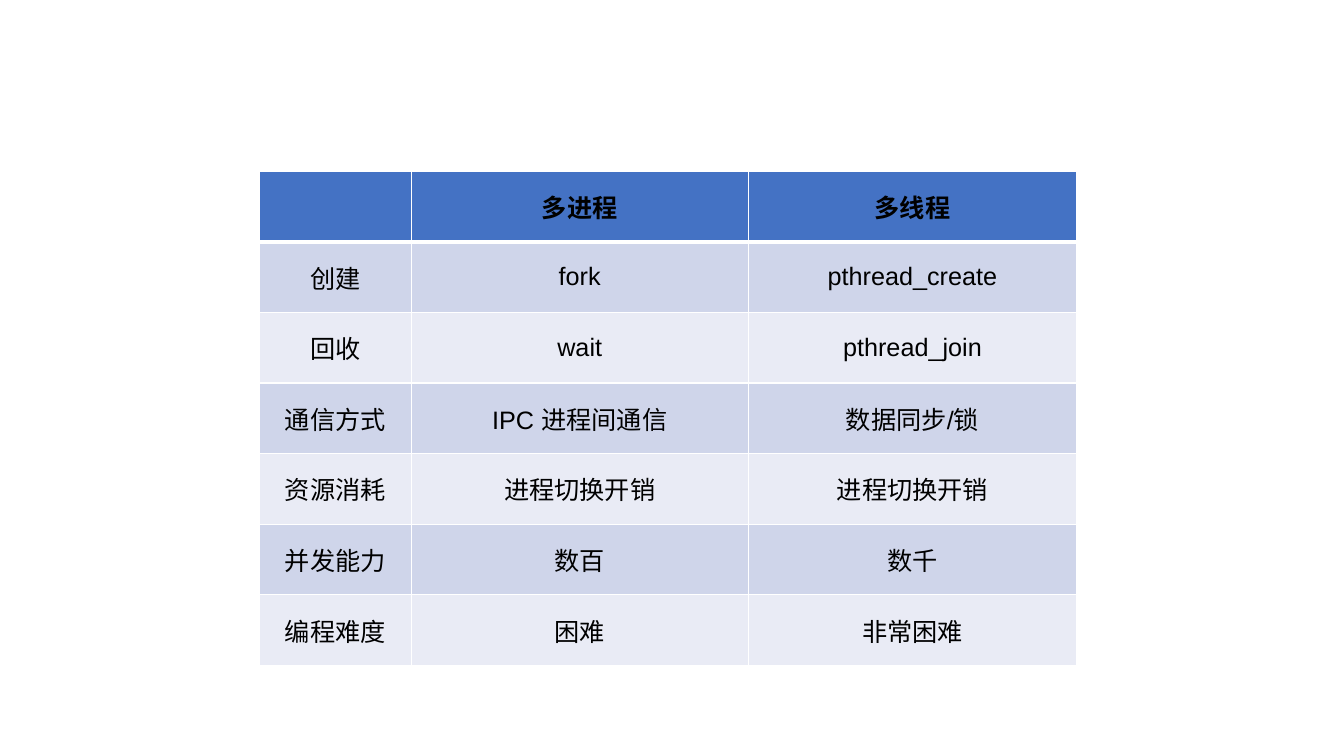
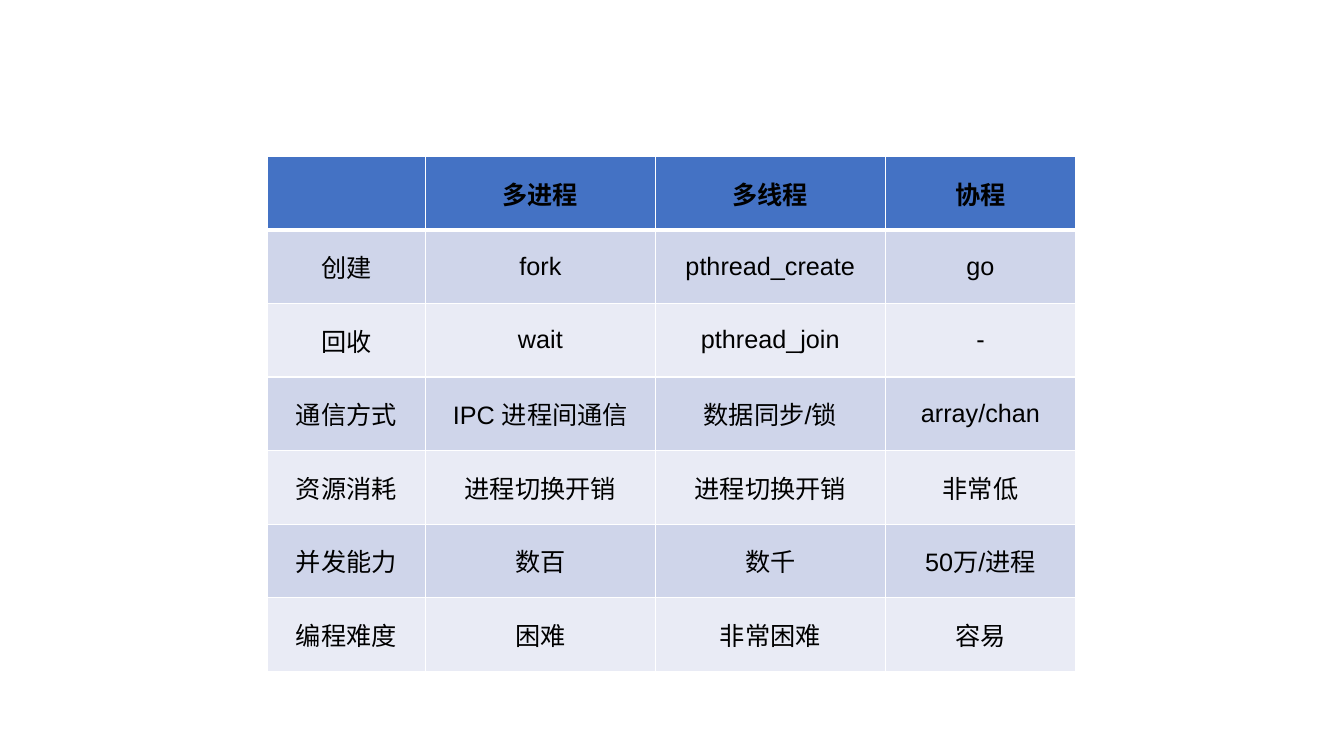
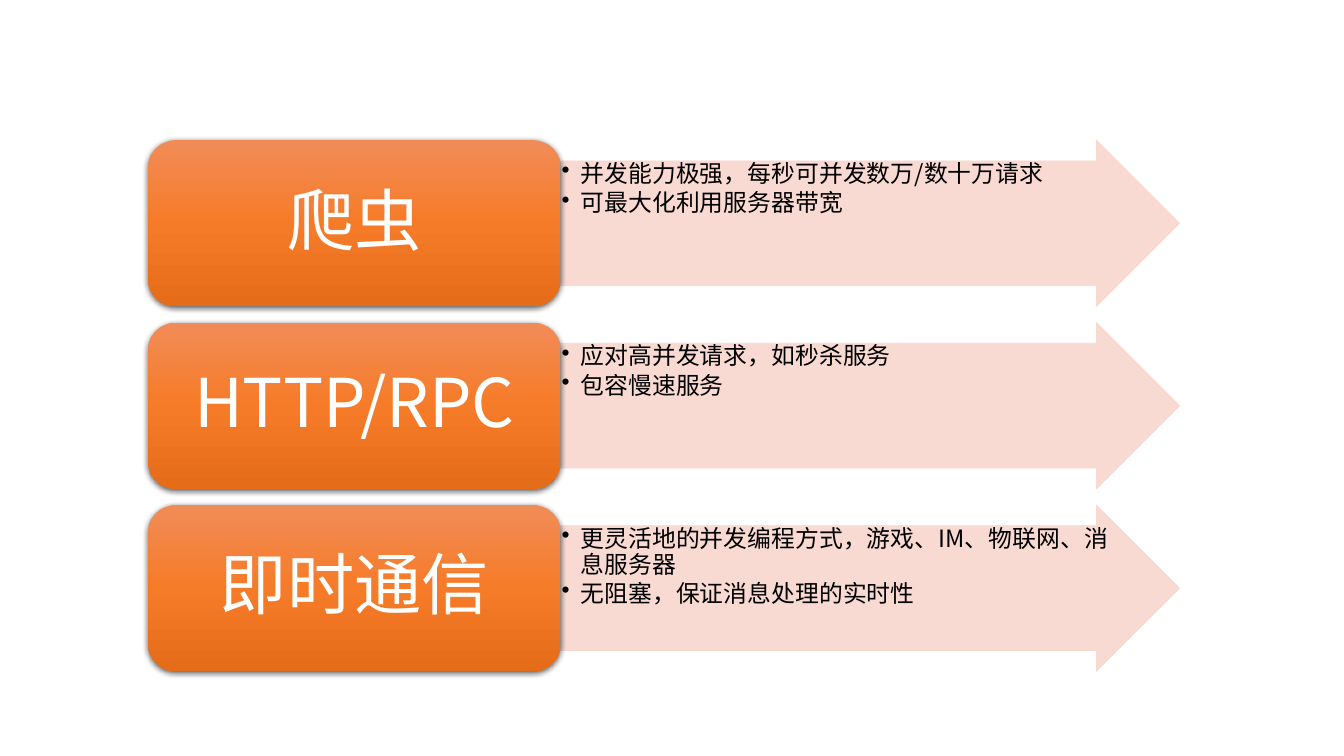
"""Build three slides comparing concurrency models and listing uses of coroutines."""
from dataclasses import dataclass

import pptx
import pptx.dml.color
import pptx.enum.shapes
import pptx.enum.text
import pptx.oxml
import pptx.oxml.ns
import pptx.util
from lxml import etree

Inches = pptx.util.Inches
Pt = pptx.util.Pt
qn = pptx.oxml.ns.qn


@dataclass(frozen=True)
class Theme:
    """Colours, fonts and type sizes shared by the slides."""
    ink: str = "000000"
    paper: str = "FFFFFF"
    header: str = "4472C4"
    bands: tuple = ("CFD5EA", "E9EBF5")
    arrow: str = "F8D7CE"
    label_stops: tuple = ((0, "F18C57"), (50, "F67B28"), (100, "E56C19"))
    table_font: str = "Arial"
    cjk_font: str = "Noto Sans CJK SC"
    table_size: int = 18
    label_size: int = 48
    detail_size: int = 17


THEME = Theme()

COMPARISON = [
    ("", "多进程", "多线程", "协程"),
    ("创建", "fork", "pthread_create", "go"),
    ("回收", "wait", "pthread_join", "-"),
    ("通信方式", "IPC 进程间通信", "数据同步/锁", "array/chan"),
    ("资源消耗", "进程切换开销", "进程切换开销", "非常低"),
    ("并发能力", "数百", "数千", "50万/进程"),
    ("编程难度", "困难", "非常困难", "容易"),
]

USES = [
    ("爬虫", ["并发能力极强，每秒可并发数万/数十万请求", "可最大化利用服务器带宽"]),
    ("HTTP/RPC", ["应对高并发请求，如秒杀服务", "包容慢速服务"]),
    ("即时通信", ["更灵活地的并发编程方式，游戏、IM、物联网、消息服务器",
              "无阻塞，保证消息处理的实时性"]),
]


def rgb(value):
    """Return a colour object for a hex value."""
    return pptx.dml.color.RGBColor.from_string(value)


def add_xml(parent, markup):
    """Append DrawingML markup to an element."""
    parent.append(pptx.oxml.parse_xml(
        markup.replace(">", f" {pptx.oxml.ns.nsdecls('a')}>", 1)))


def style_paragraph(paragraph, size, font, color, align, bold=False):
    """Set the type and alignment of a paragraph."""
    paragraph.alignment = align
    paragraph.font.size = Pt(size)
    paragraph.font.bold = bold
    paragraph.font.name = font
    paragraph.font.color.rgb = rgb(color)
    properties = paragraph._p.pPr.find(qn("a:defRPr"))
    etree.SubElement(properties, qn("a:ea"), typeface=THEME.cjk_font)


def border_cell(cell, bottom):
    """Draw white borders around a cell."""
    for side, width in (("L", 1), ("R", 1), ("T", 1), ("B", bottom)):
        add_xml(cell._tc.get_or_add_tcPr(),
                f'<a:ln{side} w="{Pt(width)}"><a:solidFill>'
                f'<a:srgbClr val="{THEME.paper}"/></a:solidFill></a:ln{side}>')


def add_comparison(slide, left, top, widths, row_height):
    """Add the comparison table with one column for each width."""
    table = slide.shapes.add_table(
        len(COMPARISON), len(widths), Inches(left), Inches(top),
        Inches(sum(widths)), Inches(row_height * len(COMPARISON))).table
    for column, width in zip(table.columns, widths):
        column.width = Inches(width)
    for row_index, entries in enumerate(COMPARISON):
        is_header = row_index == 0
        table.rows[row_index].height = Inches(row_height)
        for cell, entry in zip(table.rows[row_index].cells, entries):
            border_cell(cell, 3 if is_header else 1)
            cell.fill.solid()
            cell.fill.fore_color.rgb = rgb(
                THEME.header if is_header else THEME.bands[(row_index - 1) % 2])
            cell.vertical_anchor = pptx.enum.text.MSO_ANCHOR.MIDDLE
            cell.text = entry
            style_paragraph(cell.text_frame.paragraphs[0], THEME.table_size,
                            THEME.table_font, THEME.ink,
                            pptx.enum.text.PP_ALIGN.CENTER, is_header)


def add_block(slide, preset, left, top, width, height, margins, anchor):
    """Add a preset shape without shadow and set its text area."""
    block = slide.shapes.add_shape(
        preset, Inches(left), Inches(top), Inches(width), Inches(height))
    block.shadow.inherit = False
    frame = block.text_frame
    frame.word_wrap = True
    frame.vertical_anchor = anchor
    frame.margin_left = frame.margin_right = Inches(margins[0])
    frame.margin_top = frame.margin_bottom = Inches(margins[1])
    return block


def add_details(slide, left, top, width, height, details):
    """Add a pale arrow holding a bulleted list."""
    arrow = add_block(slide, pptx.enum.shapes.MSO_SHAPE.RIGHT_ARROW, left, top,
                      width, height, (0.01, 0.01), pptx.enum.text.MSO_ANCHOR.TOP)
    arrow.adjustments[0] = 0.75
    arrow.adjustments[1] = 0.5
    arrow.line.width = Pt(0.5)
    for fill in (arrow.fill, arrow.line.fill):
        fill.solid()
        fill.fore_color.rgb = rgb(THEME.arrow)
    for color in arrow._element.spPr.iter(qn("a:srgbClr")):
        etree.SubElement(color, qn("a:alpha"), val="90000")
    frame = arrow.text_frame
    frame.text = "\n".join(details)
    for paragraph in frame.paragraphs:
        paragraph.line_spacing = 0.9
        paragraph.space_after = Pt(2.5)
        style_paragraph(paragraph, THEME.detail_size, THEME.cjk_font, THEME.ink,
                        pptx.enum.text.PP_ALIGN.LEFT)
        properties = paragraph._p.pPr
        properties.set("marL", str(Inches(0.19)))
        properties.set("indent", str(Inches(-0.19)))
        bullet = etree.Element(qn("a:buChar"), char="•")
        properties.find(qn("a:defRPr")).addprevious(bullet)


def add_label(slide, left, top, width, height, label):
    """Add an orange gradient label with a soft shadow."""
    plate = add_block(slide, pptx.enum.shapes.MSO_SHAPE.ROUNDED_RECTANGLE, left,
                      top, width, height, (0.2, 0.1),
                      pptx.enum.text.MSO_ANCHOR.MIDDLE)
    plate.line.fill.background()
    plate.fill.gradient()
    gradient = plate._element.spPr.find(qn("a:gradFill"))
    stops = gradient.find(qn("a:gsLst"))
    for stop in list(stops):
        stops.remove(stop)
    for position, color in THEME.label_stops:
        add_xml(stops, f'<a:gs pos="{position * 1000}">'
                       f'<a:srgbClr val="{color}"/></a:gs>')
    plate.fill.gradient_angle = 270
    add_xml(plate._element.spPr.find(qn("a:effectLst")),
            f'<a:outerShdw blurRad="{Pt(4.5)}" dist="{Pt(1.5)}" dir="5400000" '
            f'algn="ctr" rotWithShape="0"><a:srgbClr val="{THEME.ink}">'
            '<a:alpha val="63000"/></a:srgbClr></a:outerShdw>')
    plate.text_frame.text = label
    paragraph = plate.text_frame.paragraphs[0]
    paragraph.line_spacing = 0.9
    style_paragraph(paragraph, THEME.label_size, THEME.cjk_font, THEME.paper,
                    pptx.enum.text.PP_ALIGN.CENTER)


def add_uses(slide):
    """Stack the labels and their arrows at an equal pitch."""
    left, top, height, pitch = 1.47, 1.39, 1.65, 1.81
    label_width, arrow_width = 4.09, 6.14
    for index, (label, details) in enumerate(USES):
        row_top = top + index * pitch
        add_details(slide, left + label_width, row_top, arrow_width, height, details)
        add_label(slide, left, row_top, label_width, height, label)


def main():
    """Build and save the presentation."""
    deck = pptx.Presentation()
    deck.slide_width = Inches(13.33)
    deck.slide_height = Inches(7.5)
    blank = deck.slide_layouts[6]
    add_comparison(deck.slides.add_slide(blank), 2.57, 1.7, (1.51, 3.34, 3.26), 0.7)
    add_comparison(deck.slides.add_slide(blank), 2.65, 1.55,
                   (1.57, 2.28, 2.28, 1.89), 0.73)
    add_uses(deck.slides.add_slide(blank))
    deck.save("out.pptx")


if __name__ == "__main__":
    main()
